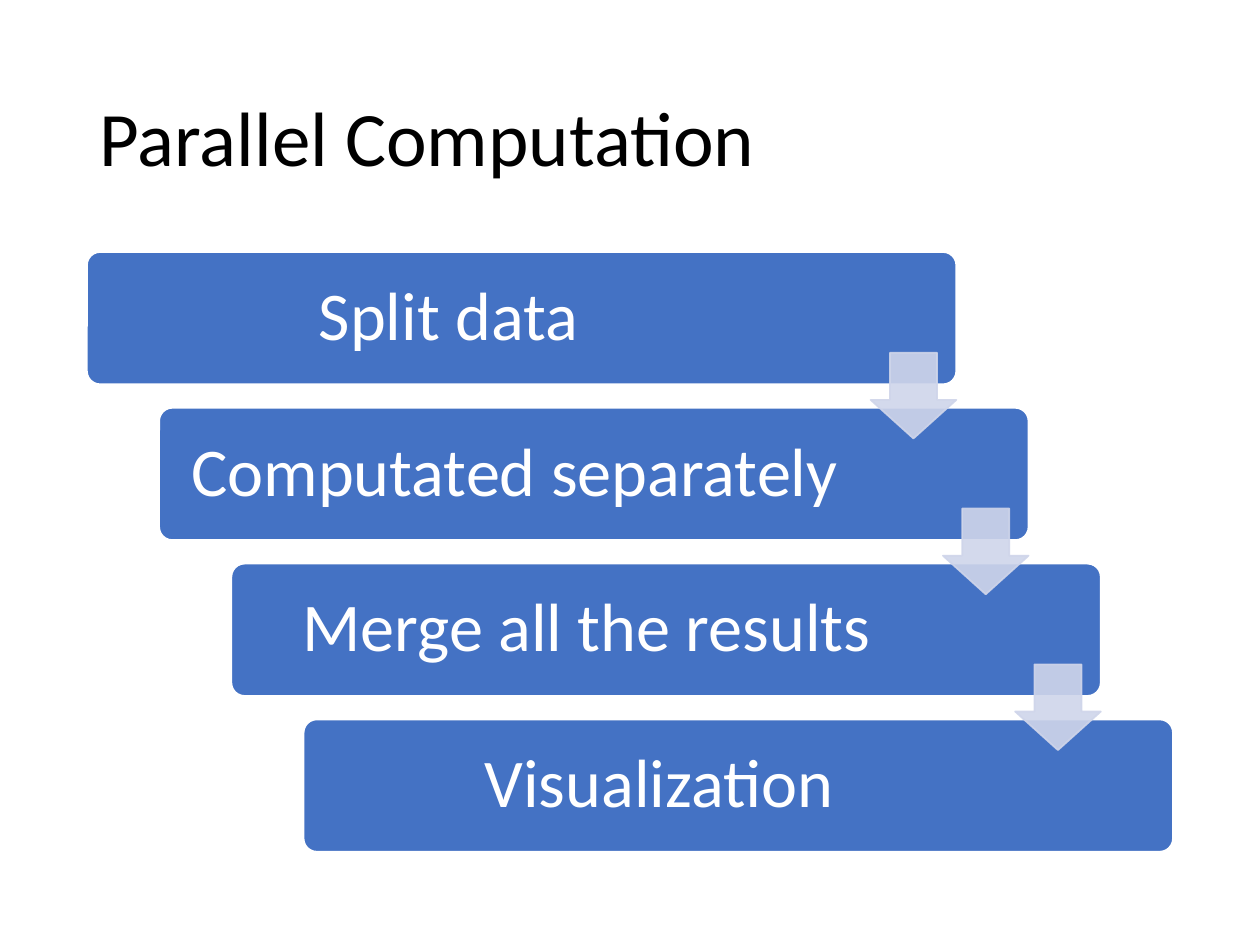
from lxml import etree
from pptx import Presentation
from pptx.dml.color import RGBColor
from pptx.enum import shapes, text
from pptx.oxml.ns import qn
from pptx.util import Inches, Pt

BLACK = RGBColor(0x00, 0x00, 0x00)
WHITE = RGBColor(0xFF, 0xFF, 0xFF)
BLUE = RGBColor(0x44, 0x72, 0xC4)
PALE = RGBColor(0xCF, 0xD5, 0xEA)
FONT = "Calibri"

# Label and width of its text area
STEPS = [
    ("Split data", Inches(5.68)),
    ("Computated separately", Inches(5.58)),
    ("Merge all the results", Inches(5.58)),
    ("Visualization", Inches(5.58)),
]


def write_text(sp, words, size, color, align, inset):
    tf = sp.text_frame
    tf.word_wrap = True
    tf.auto_size = text.MSO_AUTO_SIZE.NONE
    tf.vertical_anchor = text.MSO_ANCHOR.MIDDLE
    tf.margin_left = tf.margin_right = Inches(inset)
    tf.margin_top = tf.margin_bottom = Inches(inset)
    p = tf.paragraphs[0]
    p.alignment = align
    p.line_spacing = 0.9
    r = p.add_run()
    r.text = words
    r.font.name = FONT
    r.font.size = Pt(size)
    r.font.color.rgb = color


def add_box(parent, kind, box, adjustments, fill, line, opacity=None):
    sp = parent.add_shape(kind, *box)
    sp.shadow.inherit = False
    for i, value in enumerate(adjustments):
        sp.adjustments[i] = value
    sp.fill.solid()
    sp.fill.fore_color.rgb = fill
    sp.line.color.rgb = line
    sp.line.width = Pt(1)
    if opacity is not None:
        for color in sp._element.spPr.iter(qn("a:srgbClr")):
            etree.SubElement(color, qn("a:alpha"), val=str(opacity * 1000))
    return sp


def add_title(slide, left, top, width, height):
    title = slide.shapes.title
    title.left, title.top, title.width, title.height = left, top, width, height
    write_text(title, "Parallel Computation", size=44, color=BLACK,
               align=text.PP_ALIGN.LEFT, inset=0.1)


def add_staircase(slide, left, top, width, height):
    bar_w, bar_h = Inches(6.9), Inches(1.05)
    pad, arrow = Inches(0.03), Inches(0.68)
    gaps = len(STEPS) - 1
    step_x = (width - bar_w) / gaps
    step_y = (height - bar_h) / gaps
    corners = [(int(left + i * step_x), int(top + i * step_y))
               for i in range(len(STEPS))]
    group = slide.shapes.add_group_shape().shapes

    # Bars with their labels
    for (x, y), (label, label_w) in zip(corners, STEPS):
        add_box(group, shapes.MSO_SHAPE.ROUNDED_RECTANGLE,
                (x, y, bar_w, bar_h), [0.1], BLUE, WHITE)
        sp = group.add_textbox(x + pad, y + pad, label_w, bar_h - 2 * pad)
        write_text(sp, label, size=39, color=WHITE,
                   align=text.PP_ALIGN.CENTER, inset=0.16)

    # Arrows from each bar to the next, flush with the bar's right edge
    for x, y in corners[:-1]:
        add_box(group, shapes.MSO_SHAPE.DOWN_ARROW,
                (x + bar_w - arrow, y + Inches(0.8), arrow, arrow),
                [0.55, 0.45], PALE, PALE, opacity=90)


def main():
    prs = Presentation()
    prs.slide_width, prs.slide_height = Inches(10), Inches(7.5)
    slide = prs.slides.add_slide(prs.slide_layouts[5])
    add_title(slide, Inches(0.69), Inches(0.4), Inches(8.62), Inches(1.45))
    add_staircase(slide, Inches(0.69), Inches(2), Inches(8.62), Inches(4.76))
    prs.save("out.pptx")


if __name__ == "__main__":
    main()
